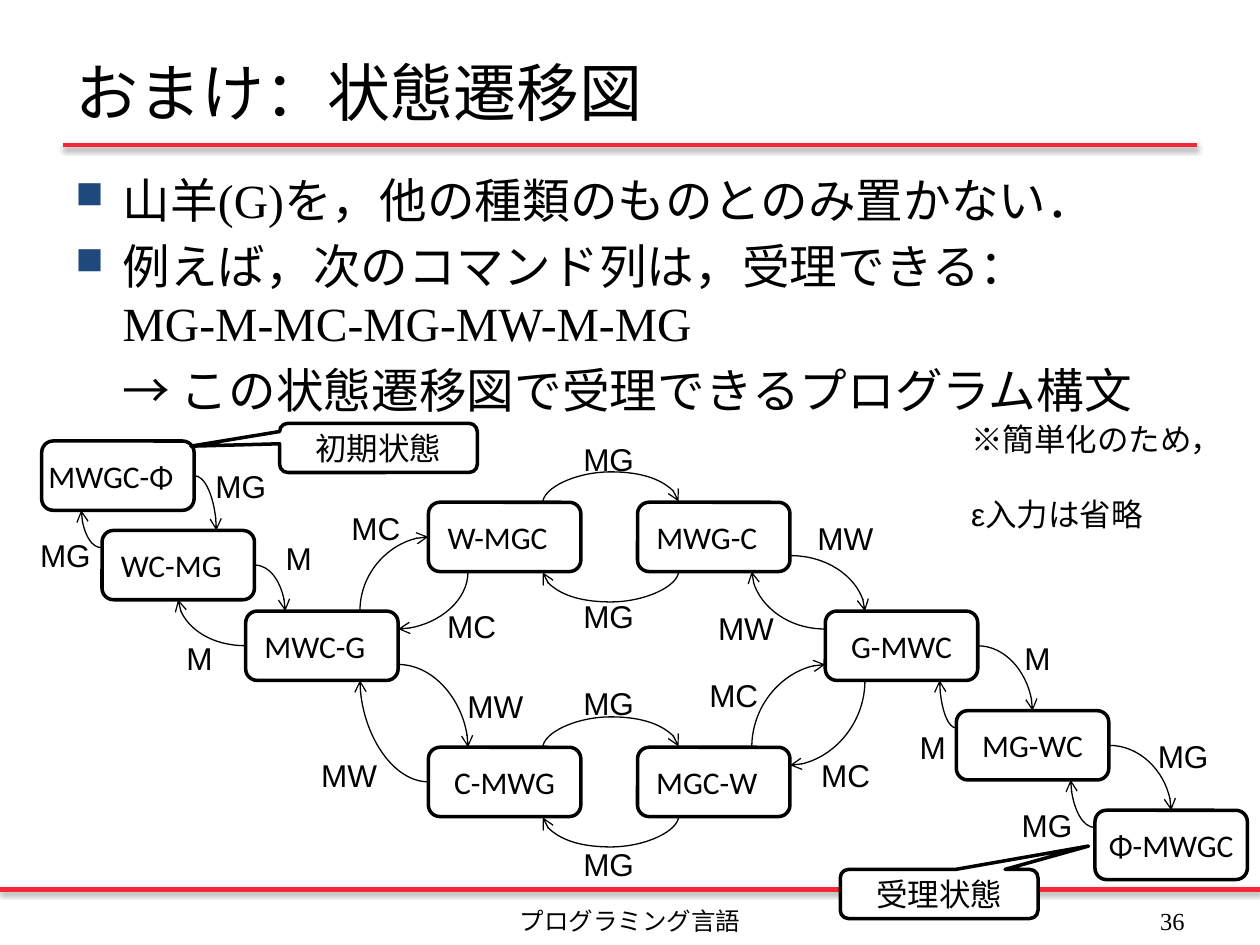
from dataclasses import dataclass
from typing import NamedTuple

from lxml.etree import SubElement
from pptx import Presentation
from pptx.dml.color import RGBColor
from pptx.enum.shapes import MSO_CONNECTOR, MSO_SHAPE
from pptx.enum.text import MSO_ANCHOR, PP_ALIGN
from pptx.oxml.ns import qn
from pptx.util import Pt


@dataclass(frozen=True)
class Theme:
    ink: RGBColor = RGBColor(0, 0, 0)
    paper: RGBColor = RGBColor(255, 255, 255)
    rule: RGBColor = RGBColor(0xF6, 0x28, 0x37)
    bullet: str = "1F497D"
    heading: str = "Calibri"
    serif: str = "Times New Roman"
    sans: str = "Arial"
    title_size: float = 36
    body_size: float = 27.2
    diagram_size: float = 18
    footer_size: float = 14


class Box(NamedTuple):
    left: float
    top: float
    width: float
    height: float

    def inside(self, left, top, width, height):
        return Box(self.left + left, self.top + top, width, height)

    def anchor(self, edge, fraction):
        """Point on the named edge, at a fraction of that edge's length."""
        if edge in ("left", "right"):
            x = self.left + (self.width if edge == "right" else 0)
            return x, self.top + self.height * fraction
        y = self.top + (self.height if edge == "bottom" else 0)
        return self.left + self.width * fraction, y


THEME = Theme()
STATE_WIDTH, STATE_HEIGHT = 87.12, 39.6
LABEL_WIDTHS = {"M": 29.5, "MG": 43.9, "MC": 42.5, "MW": 46.8}

# name: left, top, right inset
STATES = {
    "MWGC-Φ": (23.8, 12, 8),
    "WC-MG": (58.3, 63.1, 8),
    "MWC-G": (140.4, 109.2, 8),
    "W-MGC": (244.8, 47, 8),
    "MWG-C": (364.3, 47, 8),
    "C-MWG": (244.8, 187, 0),
    "MGC-W": (364.3, 187, 8),
    "G-MWC": (471.6, 109.2, 0),
    "MG-WC": (546.5, 166.1, 0),
    "Φ-MWGC": (625.7, 223, 0),
}

# command, label position, source (state, edge, fraction), target
TRANSITIONS = [
    ("MG", (116, 23.5), ("MWGC-Φ", "right", 0.5), ("WC-MG", "top", 0.75)),
    ("MG", (15.8, 63), ("WC-MG", "left", 0.25), ("MWGC-Φ", "bottom", 0.26)),
    ("M", (156.2, 64.6), ("WC-MG", "right", 0.5), ("MWC-G", "top", 0.26)),
    ("M", (99.4, 121.4), ("MWC-G", "left", 0.5), ("WC-MG", "bottom", 0.5)),
    ("MC", (193.7, 47.3), ("MWC-G", "top", 0.75), ("W-MGC", "left", 0.5)),
    ("MC", (248.4, 103.4), ("W-MGC", "bottom", 0.26), ("MWC-G", "right", 0.26)),
    ("MW", (260, 148.8), ("MWC-G", "right", 0.77), ("C-MWG", "top", 0.26)),
    ("MW", (176.4, 188.4), ("C-MWG", "left", 0.5), ("MWC-G", "bottom", 0.75)),
    ("MC", (398.2, 143), ("MGC-W", "top", 0.75), ("G-MWC", "left", 0.77)),
    ("MC", (462.2, 188.4), ("G-MWC", "bottom", 0.26), ("MGC-W", "right", 0.26)),
    ("MW", (460, 53), ("MWG-C", "right", 0.77), ("G-MWC", "top", 0.26)),
    ("MW", (403.2, 104.2), ("G-MWC", "left", 0.26), ("MWG-C", "bottom", 0.75)),
    ("M", (578.2, 121.4), ("G-MWC", "right", 0.5), ("MG-WC", "top", 0.5)),
    ("M", (518.4, 172.6), ("MG-WC", "left", 0.25), ("G-MWC", "bottom", 0.75)),
    ("MG", (654.5, 177.6), ("MG-WC", "right", 0.5), ("Φ-MWGC", "top", 0.5)),
    ("MG", (576.7, 217.2), ("Φ-MWGC", "left", 0.25), ("MG-WC", "bottom", 0.75)),
    ("MG", (326.2, 7.7), ("W-MGC", "top", 0.75), ("MWG-C", "top", 0.27)),
    ("MG", (326.2, 97.7), ("MWG-C", "bottom", 0.27), ("W-MGC", "bottom", 0.75)),
    ("MG", (326.2, 147.4), ("C-MWG", "top", 0.75), ("MGC-W", "top", 0.27)),
    ("MG", (326.2, 239.5), ("MGC-W", "bottom", 0.27), ("C-MWG", "bottom", 0.75)),
]


def write(frame, text, font, size, align=PP_ALIGN.LEFT):
    frame.text = text
    for para in frame.paragraphs:
        para.alignment = align
        for span in para.runs:
            span.font.name, span.font.size = font, Pt(size)
            span.font.color.rgb = THEME.ink


def add_text(page, box, text, font, size, align=PP_ALIGN.LEFT,
             anchor=MSO_ANCHOR.TOP, wrap=True):
    frame = page.shapes.add_textbox(*map(Pt, box)).text_frame
    frame.word_wrap, frame.vertical_anchor = wrap, anchor
    write(frame, text, font, size, align)
    return frame


def add_line(page, kind, start, end, color, width):
    line = page.shapes.add_connector(kind, *map(Pt, (*start, *end)))
    line.line.color.rgb, line.line.width = color, Pt(width)
    effects = SubElement(line._element.spPr, qn("a:effectLst"))
    return line, effects


def add_rule(page, box):
    """Red rule with a soft shadow along the top of the box."""
    _, effects = add_line(page, MSO_CONNECTOR.STRAIGHT, box.anchor("left", 0),
                          box.anchor("right", 0), THEME.rule, 2.5)
    shadow = SubElement(effects, qn("a:outerShdw"), blurRad=str(Pt(3.1)),
                        dist=str(Pt(1.6)), dir="5400000", rotWithShape="0")
    color = SubElement(shadow, qn("a:srgbClr"), val="000000")
    SubElement(color, qn("a:alpha"), val="38000")


def add_body(page, box):
    lines = ["山羊(G)を，他の種類のものとのみ置かない．",
             "例えば，次のコマンド列は，受理できる：\vMG-M-MC-MG-MW-M-MG",
             "→ この状態遷移図で受理できるプログラム構文"]
    frame = add_text(page, box, "\n".join(lines), THEME.serif, THEME.body_size)
    for index, para in enumerate(frame.paragraphs):
        para.line_spacing = Pt(32.5)
        if index:
            para.space_before = Pt(5.4)
        properties = para._p.get_or_add_pPr()
        properties.set("marL", str(Pt(27)))
        if index < 2:
            properties.set("indent", str(Pt(-27)))
            color = SubElement(properties, qn("a:buClr"))
            SubElement(color, qn("a:srgbClr"), val=THEME.bullet)
            SubElement(properties, qn("a:buSzPct"), val="80000")
            SubElement(properties, qn("a:buChar"), char="■")


def add_arrow(page, source, target, source_edge, target_edge):
    """Quarter arc between a side and a top or bottom; loop between equal edges."""
    is_loop = source_edge == target_edge
    if is_loop:
        middle, y = (source[0] + target[0]) / 2, source[1]
        half = abs(target[0] - source[0]) / 2
        start, end = (middle - 0.5, y - half), (middle + 0.5, y + half)
    elif source_edge in ("left", "right"):
        start, end = source, target
    else:
        start, end = target, source
    arrow, _ = add_line(page, MSO_CONNECTOR.CURVE, start, end, THEME.ink, 0.75)
    properties = arrow._element.spPr
    geometry = properties.find(qn("a:prstGeom"))
    if is_loop:
        turn = 270 if source_edge == "top" else 90
        properties.find(qn("a:xfrm")).set("rot", str(turn * 60000))
        SubElement(geometry.find(qn("a:avLst")), qn("a:gd"), name="adj1", fmla="val 1800000")
    else:
        geometry.set("prst", "curvedConnector2")
    tip = "a:headEnd" if start == target else "a:tailEnd"
    SubElement(properties.find(qn("a:ln")), qn(tip), type="arrow")


def add_outlined(page, preset, box, text):
    shape = page.shapes.add_shape(preset, *map(Pt, box))
    shape.shadow.inherit = False
    shape.fill.solid()
    shape.fill.fore_color.rgb = THEME.paper
    shape.line.color.rgb, shape.line.width = THEME.ink, Pt(2)
    shape.text_frame.vertical_anchor = MSO_ANCHOR.MIDDLE
    write(shape.text_frame, text, THEME.heading, THEME.diagram_size, PP_ALIGN.CENTER)
    return shape


def add_diagram(page, box):
    states = {name: box.inside(left, top, STATE_WIDTH, STATE_HEIGHT)
              for name, (left, top, _) in STATES.items()}
    for _, _, (source, source_edge, leave), (target, target_edge, arrive) in TRANSITIONS:
        add_arrow(page, states[source].anchor(source_edge, leave),
                  states[target].anchor(target_edge, arrive), source_edge, target_edge)
    for name, (_, _, right_inset) in STATES.items():
        frame = add_outlined(page, MSO_SHAPE.ROUNDED_RECTANGLE, states[name], name).text_frame
        frame.margin_left = frame.margin_top = frame.margin_bottom = 0
        frame.margin_right = Pt(right_inset)
    for command, position, _, _ in TRANSITIONS:
        add_text(page, box.inside(*position, LABEL_WIDTHS[command], 28.8), command,
                 THEME.sans, THEME.diagram_size, wrap=False)
    for text, left, top, tip in (("受理状態", 480.2, 256.8, (0.756, -0.976)),
                                 ("初期状態", 159.8, 1.9, (-0.949, -0.035))):
        callout = add_outlined(page, MSO_SHAPE.ROUNDED_RECTANGULAR_CALLOUT,
                               box.inside(left, top, 113, 28.1), text)
        callout.adjustments[0], callout.adjustments[1] = tip
    add_text(page, box.inside(547.9, -3.8, 140.4, 51.1), "※簡単化のため，\vε入力は省略",
             THEME.sans, THEME.diagram_size)


def add_footer(page, box):
    for text, left, width, align in (("プログラミング言語", 223.9, 272.2, PP_ALIGN.CENTER),
                                     ("36", 516.2, 167.8, PP_ALIGN.RIGHT)):
        add_text(page, box.inside(left, 7.2, width, 20.9), text, THEME.serif,
                 THEME.footer_size, align, MSO_ANCHOR.MIDDLE)


deck = Presentation()
deck.slide_width, deck.slide_height = Pt(720), Pt(540)
slide = deck.slides.add_slide(deck.slide_layouts[6])
footer_box = Box(0, 508.3, 720, 31.7)
add_rule(slide, Box(36, 82.8, 648, 0))
add_rule(slide, footer_box)
add_text(slide, Box(36, 21.6, 648, 61.2), "おまけ：状態遷移図", THEME.heading,
         THEME.title_size, anchor=MSO_ANCHOR.MIDDLE)
add_body(slide, Box(36, 94.3, 648, 136))
add_footer(slide, footer_box)
add_diagram(slide, Box(0, 240, 720, 300))
deck.save("out.pptx")
